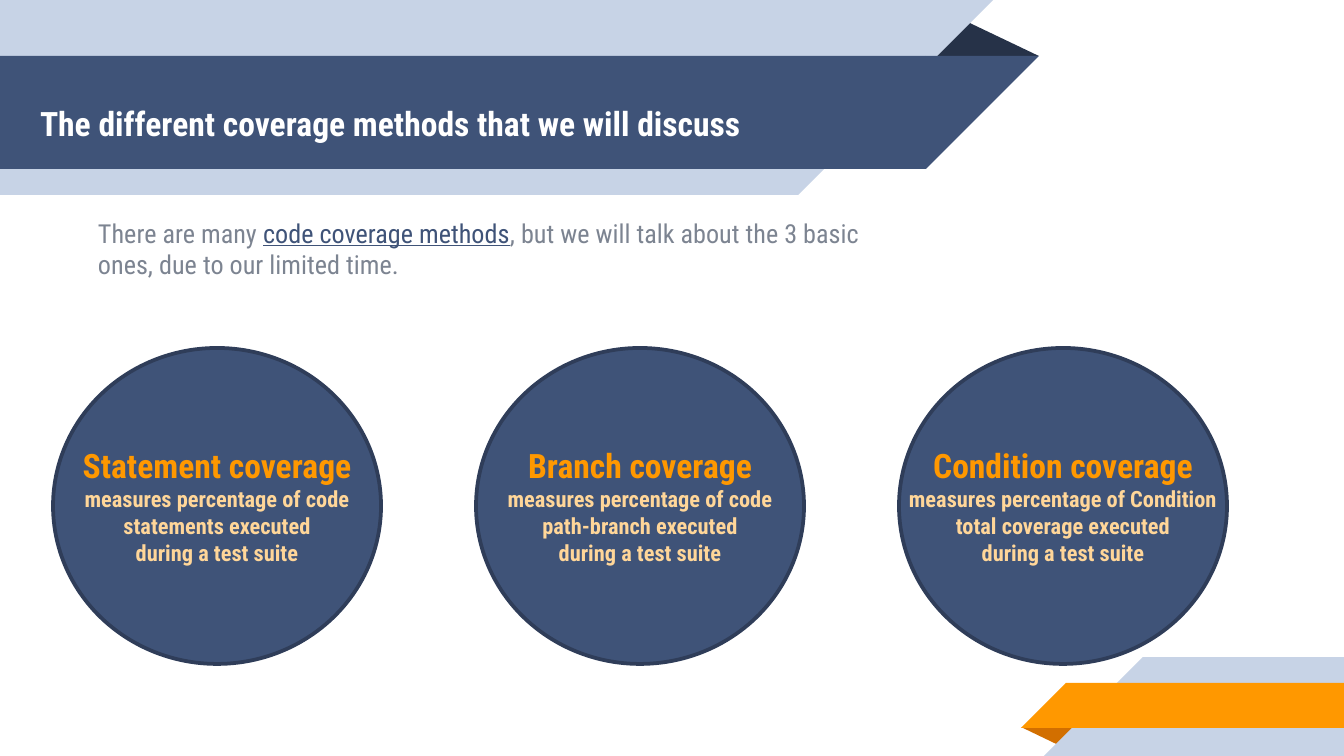
from dataclasses import dataclass

from lxml import etree
from pptx import Presentation
from pptx.dml.color import RGBColor
from pptx.enum.shapes import MSO_SHAPE
from pptx.enum.text import MSO_ANCHOR, PP_ALIGN
from pptx.oxml.ns import qn
from pptx.util import Pt

RECTANGLE = MSO_SHAPE.RECTANGLE
RIGHT_TRIANGLE = MSO_SHAPE.RIGHT_TRIANGLE
TRIANGLE = MSO_SHAPE.ISOSCELES_TRIANGLE
OVAL = MSO_SHAPE.OVAL
TOP, MIDDLE = MSO_ANCHOR.TOP, MSO_ANCHOR.MIDDLE
LEFT, CENTER = PP_ALIGN.LEFT, PP_ALIGN.CENTER

SLIDE_WIDTH, SLIDE_HEIGHT = 1344, 756
EMU_PER_PX = 9144000 / SLIDE_WIDTH


@dataclass(frozen=True)
class Theme:
    font: str = "Roboto Condensed"
    navy: str = "3F5378"
    outline: str = "2F3D59"
    ink: str = "263248"
    pale: str = "C7D3E6"
    orange: str = "FF9800"
    burnt: str = "D26F00"
    peach: str = "FFD699"
    white: str = "FFFFFF"
    heading_size: int = 18
    body_size: int = 14
    caption_size: int = 12
    body_opacity: int = 60


def px(length):
    return round(length * EMU_PER_PX)


class SlideBuilder:
    def __init__(self, slide, theme):
        self.slide = slide
        self.theme = theme

    def shape(self, kind, box, fill, rotation=0, outline=None):
        shape = self.slide.shapes.add_shape(kind, *map(px, box))
        shape.shadow.inherit = False
        shape.rotation = rotation
        shape.fill.solid()
        shape.fill.fore_color.rgb = RGBColor.from_string(fill)
        if outline:
            shape.line.color.rgb = RGBColor.from_string(outline)
            shape.line.width = Pt(2)
        else:
            shape.line.fill.background()
        return shape

    def fold(self, box, fill, rotation=0):
        """Draw the dark triangle that shows behind a ribbon."""
        self.shape(TRIANGLE, box, fill, rotation).adjustments[0] = 0.32

    def left_ribbon(self, top, width, height, fill):
        """Draw a band from the left edge, its right end cut at 45 degrees."""
        self.shape(RECTANGLE, (0, top, width, height), fill)
        self.shape(RIGHT_TRIANGLE, (width, top, height, height), fill, 90)

    def right_ribbon(self, left, top, height, fill):
        """Draw a band to the right edge, its left end cut at 45 degrees."""
        self.shape(RECTANGLE, (left, top, SLIDE_WIDTH - left, height), fill)
        self.shape(RIGHT_TRIANGLE, (left - height, top, height, height), fill, 270)

    def text_box(self, box, alignment, anchor, margins):
        """Add an empty text box and return its paragraph."""
        frame = self.slide.shapes.add_textbox(*map(px, box)).text_frame
        frame.word_wrap = True
        frame.vertical_anchor = anchor
        horizontal, vertical = map(px, margins)
        frame.margin_left = frame.margin_right = horizontal
        frame.margin_top = frame.margin_bottom = vertical
        paragraph = frame.paragraphs[0]
        paragraph.alignment = alignment
        return paragraph

    def run(self, paragraph, text, size, color, bold=False, underline=False, opacity=100):
        run = paragraph.add_run()
        run.text = text
        font = run.font
        font.name = self.theme.font
        font.size = Pt(size)
        font.bold = bold
        font.underline = underline
        font.color.rgb = RGBColor.from_string(color)
        if opacity < 100:
            color_element = run._r.find(".//" + qn("a:srgbClr"))
            etree.SubElement(color_element, qn("a:alpha"), val=str(opacity * 1000))

    def title(self, text):
        paragraph = self.text_box((27, 65, 773, 113), LEFT, MIDDLE, (13, 13))
        paragraph.line_spacing = 1.07
        paragraph.space_after = Pt(8)
        self.run(paragraph, text, self.theme.heading_size, self.theme.white, bold=True)

    def introduction(self, before, term, after):
        theme = self.theme
        paragraph = self.text_box((85, 210, 836, 77), LEFT, TOP, (13, 7))
        self.run(paragraph, before, theme.body_size, theme.ink, opacity=theme.body_opacity)
        self.run(paragraph, term, theme.body_size, theme.navy, underline=True)
        self.run(paragraph, after, theme.body_size, theme.ink, opacity=theme.body_opacity)

    def method_circle(self, left, heading, lines):
        theme = self.theme
        self.shape(OVAL, (left, 348, 328, 316), theme.navy, outline=theme.outline)
        paragraph = self.text_box((left, 420, 328, 170), CENTER, MIDDLE, (0, 13))
        self.run(paragraph, heading, theme.heading_size, theme.orange, bold=True)
        for line in lines:
            paragraph.add_line_break()
            self.run(paragraph, line, theme.caption_size, theme.peach, bold=True)


def main():
    presentation = Presentation()
    presentation.slide_width = px(SLIDE_WIDTH)
    presentation.slide_height = px(SLIDE_HEIGHT)
    slide = presentation.slides.add_slide(presentation.slide_layouts[6])
    theme = Theme()
    builder = SlideBuilder(slide, theme)

    builder.fold((1021, 727, 58, 19), theme.burnt, 180)
    builder.right_ribbon(1143, 657, 99, theme.pale)
    builder.right_ribbon(1066, 683, 45, theme.orange)
    builder.fold((925, 19, 114, 37), theme.ink)
    builder.left_ribbon(0, 798, 195, theme.pale)
    builder.left_ribbon(56, 926, 113, theme.navy)

    builder.title("The different coverage methods that we will discuss")
    builder.introduction(
        "There are many ",
        "code coverage methods",
        ", but we will talk about the 3 basic ones, due to our limited time.",
    )

    methods = [
        ("Statement coverage", "measures percentage of code", "statements executed"),
        ("Branch coverage", "measures percentage of code", "path-branch executed"),
        ("Condition coverage", "measures percentage of Condition", "total coverage executed"),
    ]
    for index, (heading, *lines) in enumerate(methods):
        builder.method_circle(53 + index * 423, heading, [*lines, "during a test suite"])

    presentation.save("out.pptx")


if __name__ == "__main__":
    main()
